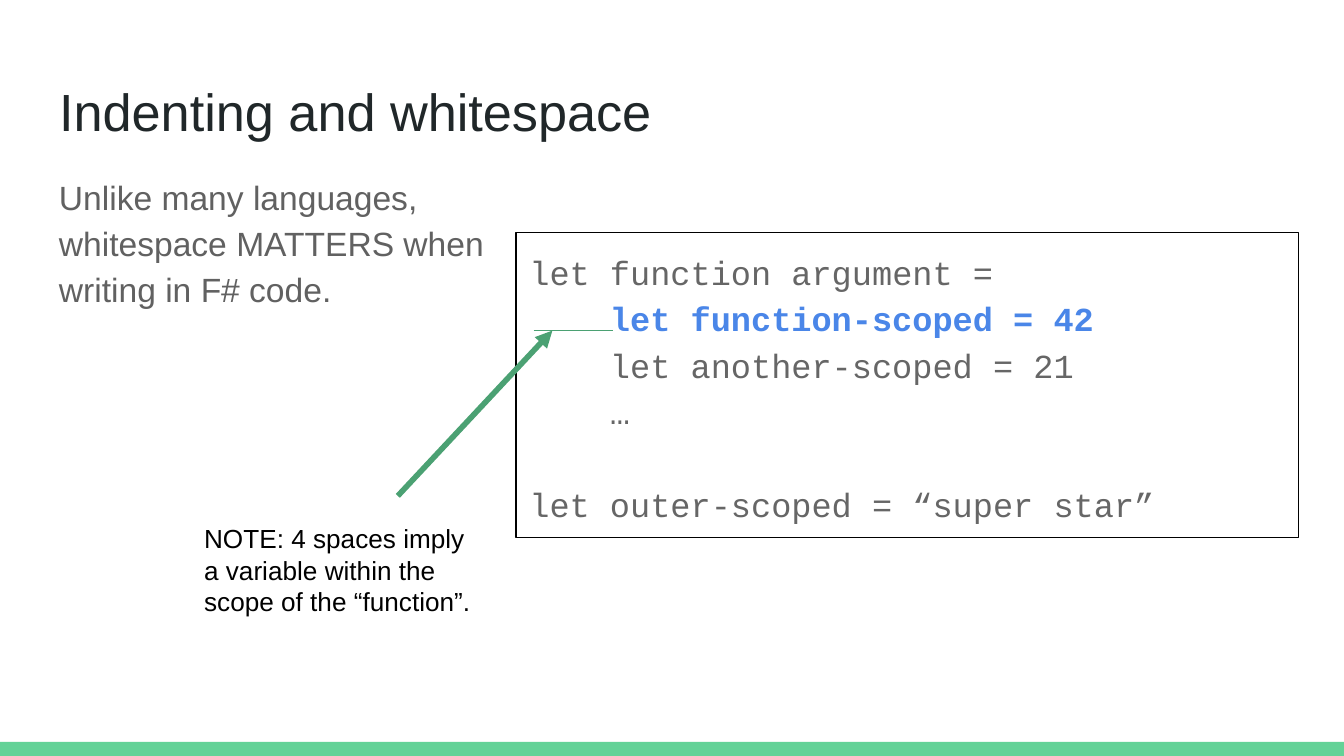
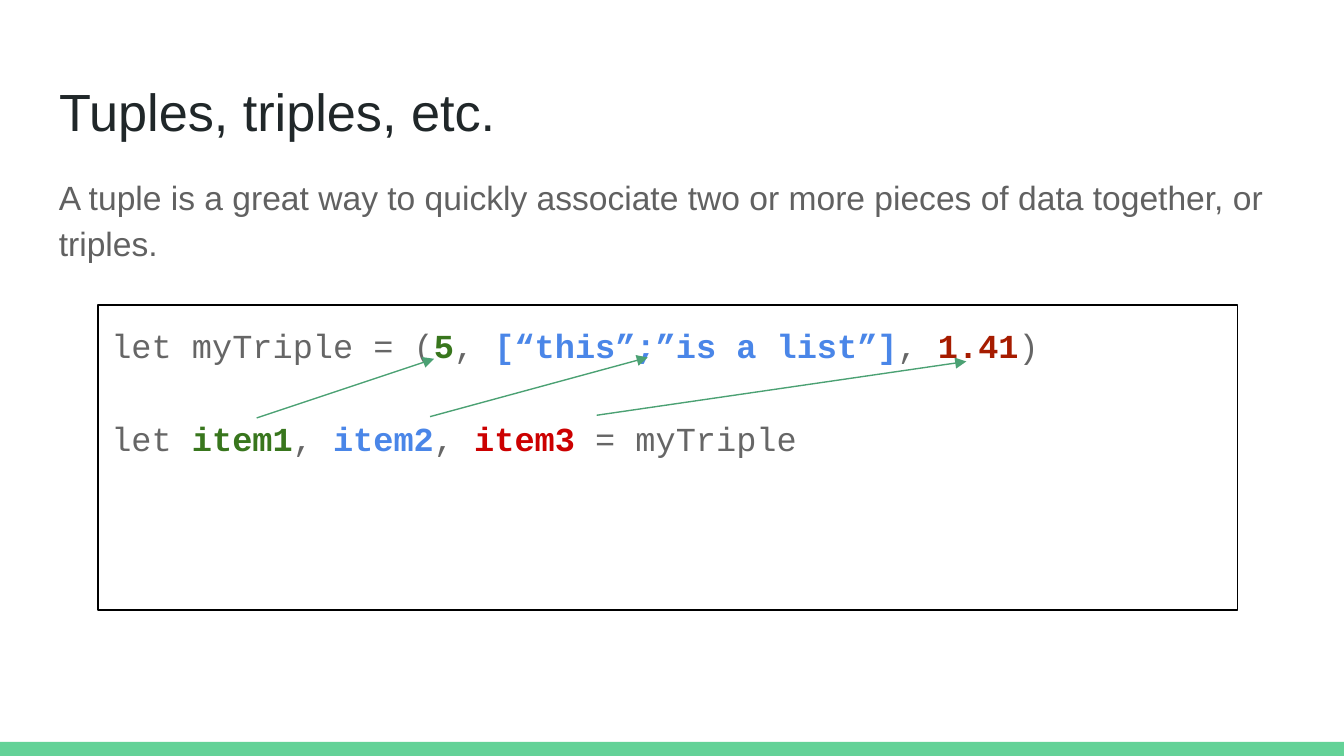
import pptx
import pptx.dml.color
import pptx.enum.shapes
import pptx.enum.text
import pptx.oxml
import pptx.util
import lxml.etree

WIDE, HIGH = 10, 5.625
COLS, ROWS = 100, 56.25
SANS, MONO = "Arial", "Courier New"
INK, BODY, CODE, BLACK = "202729", "616161", "666666", "000000"
MINT, GREEN = "63D297", "4BA173"
BLUE, LEAF, RUST, RED = "4A86E8", "38761D", "A61C00", "CC0000"
TAB = 0.6
BLANK = 25


def hue(code):
    return pptx.dml.color.RGBColor.from_string(code)


class Deck:
    def __init__(self):
        self.file = pptx.Presentation()
        self.file.slide_width = pptx.util.Inches(WIDE)
        self.file.slide_height = pptx.util.Inches(HIGH)
        self.slide = None

    def col(self, count):
        return round(self.file.slide_width * count / COLS)

    def row(self, count):
        return round(self.file.slide_height * count / ROWS)

    def area(self, x, y, w, h):
        return self.col(x), self.row(y), self.col(w), self.row(h)

    def page(self, title):
        self.slide = self.file.slides.add_slide(self.file.slide_layouts[5])
        self.band()
        head = self.slide.shapes.title
        head.left, head.top, head.width, head.height = self.area(3.4, 4.9, 93.2, 6.3)
        para = self.frame(head).paragraphs[0]
        self.run(para, title, 28, SANS, INK)

    def band(self):
        shape = self.slide.shapes.add_shape(
            pptx.enum.shapes.MSO_SHAPE.RECTANGLE, *self.area(0, 55.2, COLS, ROWS - 55.2))
        shape.shadow.inherit = False
        shape.fill.solid()
        shape.fill.fore_color.rgb = hue(MINT)
        shape.line.fill.background()

    def frame(self, shape):
        frame = shape.text_frame
        frame.word_wrap = True
        frame.auto_size = pptx.enum.text.MSO_AUTO_SIZE.NONE
        frame.vertical_anchor = pptx.enum.text.MSO_ANCHOR.TOP
        pad = pptx.util.Inches(0.1)
        frame.margin_left = frame.margin_right = pad
        frame.margin_top = frame.margin_bottom = pad
        frame.paragraphs[0].alignment = pptx.enum.text.PP_ALIGN.LEFT
        return frame

    def run(self, para, text, size, face, color, bold=False):
        run = para.add_run()
        run.text = text
        font = run.font
        font.size = pptx.util.Pt(size)
        font.name = face
        font.bold = bold
        font.color.rgb = hue(color)

    def text(self, box, words, size=18, color=BODY, space=1.15):
        shape = self.slide.shapes.add_textbox(*self.area(*box))
        para = self.frame(shape).paragraphs[0]
        para.line_spacing = space
        self.run(para, words, size, SANS, color)

    def code(self, box, lines):
        shape = self.slide.shapes.add_shape(
            pptx.enum.shapes.MSO_SHAPE.RECTANGLE, *self.area(*box))
        shape.shadow.inherit = False
        shape.fill.background()
        shape.line.color.rgb = hue(BLACK)
        shape.line.width = pptx.util.Pt(0.75)
        frame = self.frame(shape)
        for i, (tabs, gap, parts) in enumerate(lines):
            para = frame.add_paragraph() if i else frame.paragraphs[0]
            para.alignment = pptx.enum.text.PP_ALIGN.LEFT
            para.line_spacing = 1.15
            para.space_before = pptx.util.Pt(gap)
            props = para._p.get_or_add_pPr()
            props.set("marL", str(pptx.util.Inches(tabs * TAB)))
            props.set("indent", "0")
            for words, color in parts:
                self.run(para, words, 18, MONO, color, color != CODE)

    def line(self, start, end, width=0.75, arrow=True):
        line = self.slide.shapes.add_connector(
            pptx.enum.shapes.MSO_CONNECTOR.STRAIGHT,
            self.col(start[0]), self.row(start[1]), self.col(end[0]), self.row(end[1]))
        line.line.color.rgb = hue(GREEN)
        line.line.width = pptx.util.Pt(width)
        name = pptx.oxml.ns.qn
        if arrow:
            tip = lxml.etree.SubElement(line.line._get_or_add_ln(), name("a:tailEnd"))
            tip.set("type", "triangle")
        lxml.etree.SubElement(line._element.spPr, name("a:effectLst"))


def indent(deck):
    deck.page("Indenting and whitespace")
    deck.code((38.4, 17.3, 58.2, 22.7), [
        (0, 0, [("let function argument =", CODE)]),
        (1, 0, [("let function-scoped = 42", BLUE)]),
        (1, 0, [("let another-scoped = 21", CODE)]),
        (1, 0, [("…", CODE)]),
        (0, BLANK, [("let outer-scoped = “super star”", CODE)]),
    ])
    deck.text((3.4, 11.7, 37.9, 37.4),
              "Unlike many languages, whitespace MATTERS when writing in F# code.")
    deck.line((29.6, 36.9), (41.1, 24.6), 3)
    deck.text((14.2, 37.9, 21.9, 8.6),
              "NOTE: 4 spaces imply a variable within the scope of the “function”.",
              14, BLACK, 1)
    deck.line((39.7, 24.6), (45.6, 24.6), arrow=False)


def tuples(deck):
    deck.page("Tuples, triples, etc.")
    deck.code((7.3, 22.7, 84.8, 22.7), [
        (0, 0, [("let myTriple = (", CODE), ("5", LEAF), (", ", CODE),
                ("[“this”;”is a list”]", BLUE), (", ", CODE),
                ("1.41", RUST), (")", CODE)]),
        (0, BLANK, [("let ", CODE), ("item1", LEAF), (", ", CODE),
                    ("item2", BLUE), (", ", CODE),
                    ("item3 ", RED), ("= myTriple", CODE)]),
    ])
    deck.text((3.4, 11.7, 92.6, 9.9),
              "A tuple is a great way to quickly associate two or more pieces "
              "of data together, or triples.")
    for start, end in [((19.1, 31.1), (32.3, 26.7)),
                       ((32, 31), (48.2, 26.6)),
                       ((44.4, 30.9), (71.9, 26.9))]:
        deck.line(start, end)


def main():
    deck = Deck()
    indent(deck)
    tuples(deck)
    deck.file.save("out.pptx")


if __name__ == "__main__":
    main()
